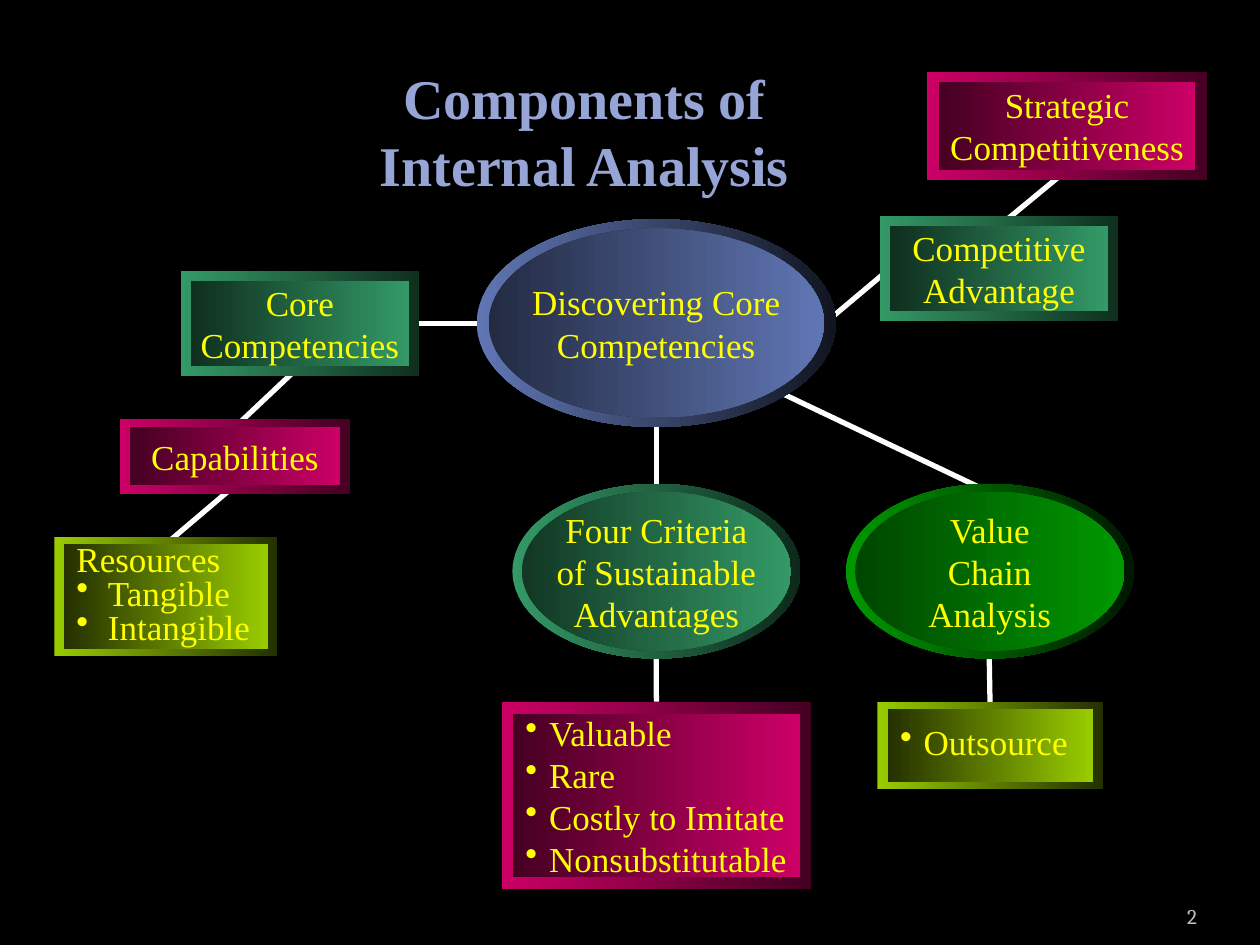
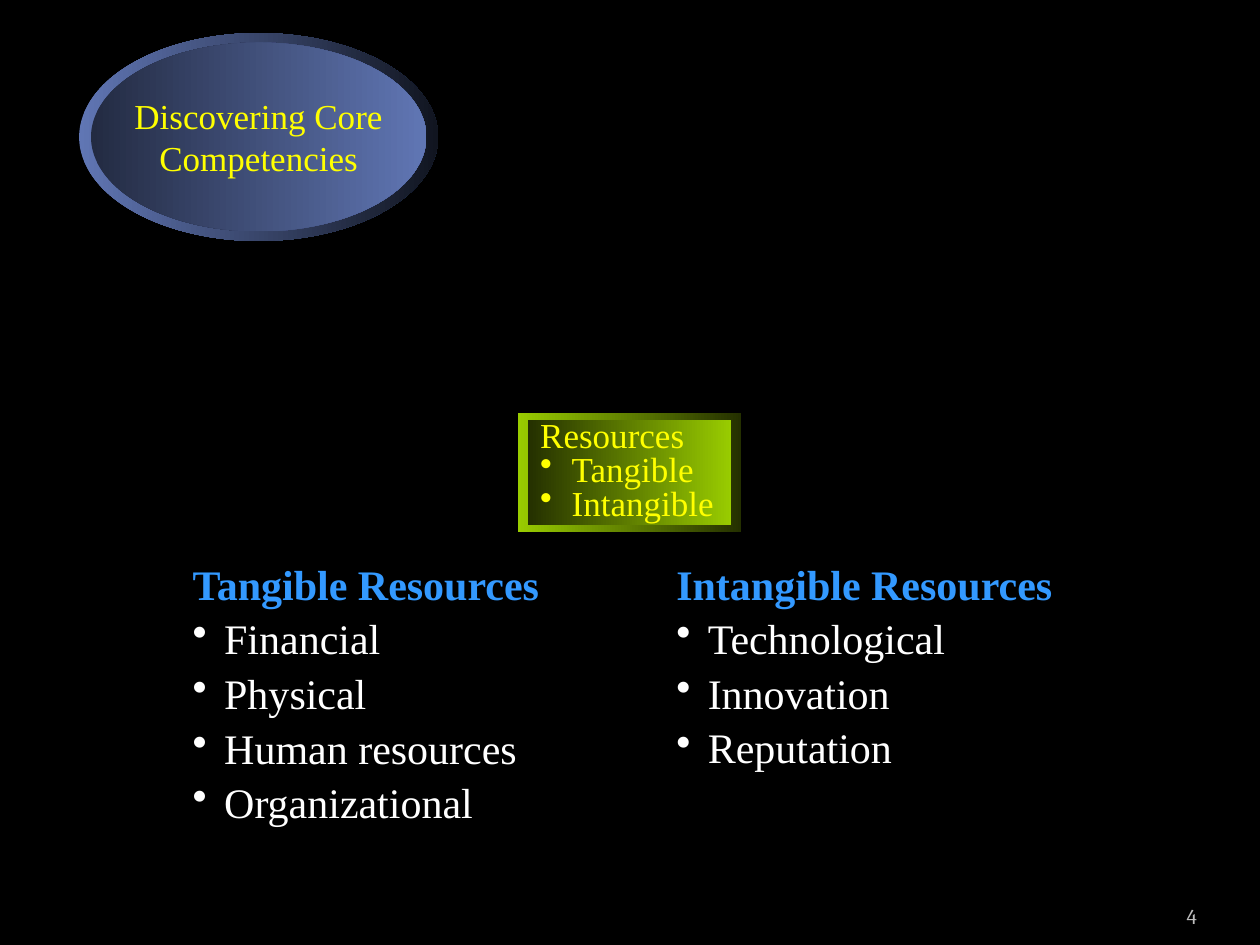
from dataclasses import dataclass

from lxml import etree
from pptx import Presentation
from pptx.dml.color import RGBColor
from pptx.enum.shapes import MSO_CONNECTOR, MSO_SHAPE
from pptx.enum.text import MSO_ANCHOR, PP_ALIGN
from pptx.oxml.ns import qn
from pptx.util import Pt

RECT, OVAL = MSO_SHAPE.RECTANGLE, MSO_SHAPE.OVAL
STRAIGHT = MSO_CONNECTOR.STRAIGHT
LEFT, CENTER, RIGHT = PP_ALIGN.LEFT, PP_ALIGN.CENTER, PP_ALIGN.RIGHT
TOP, MIDDLE, BOTTOM = MSO_ANCHOR.TOP, MSO_ANCHOR.MIDDLE, MSO_ANCHOR.BOTTOM
FRAME, FACE = 0, 1


@dataclass(frozen=True)
class Theme:
    font: str = "Times New Roman"
    number_font: str = "Cambria"
    back: str = "000000"
    title: str = "97A5D6"
    label: str = "FFFF00"
    heading: str = "3399FF"
    body: str = "FFFFFF"
    number: str = "BDBDBD"
    line: str = "FFFFFF"
    title_size: int = 32
    body_size: int = 24
    label_size: int = 20
    number_size: int = 12
    blue: tuple = ("6076B4", 0.18, 0.37)
    lime: tuple = ("99CC00", 0.24, 0.24)
    pink: tuple = ("CC0066", 0.34, 0.34)
    green: tuple = ("339966", 0.31, 0.31)
    teal: tuple = ("339966", 0.27, 0.36)
    leaf: tuple = ("009900", 0.16, 0.46)


T = Theme()


def write(sp, lines, size=T.label_size, color=T.label, font=T.font, bold=False,
          align=LEFT, anchor=MIDDLE, wrap=False, spacing=None, before=None,
          indent=0, bullets_from=None, heading=None):
    tf = sp.text_frame
    tf.word_wrap = wrap
    tf.vertical_anchor = anchor
    for i, line in enumerate(lines):
        p = tf.paragraphs[0] if i == 0 else tf.add_paragraph()
        p.text = line
        p.alignment = align
        p.line_spacing = spacing
        if before:
            p.space_before = Pt(before)
        is_heading = bool(heading) and i == 0
        for r in p.runs:
            r.font.name = font
            r.font.size = Pt(size)
            r.font.bold = bold or is_heading
            r.font.color.rgb = RGBColor.from_string(heading if is_heading else color)
        if indent:
            pPr = p._p.get_or_add_pPr()
            pPr.set("marL", str(Pt(indent)))
            pPr.set("indent", str(-Pt(indent)))
            if bullets_from is not None and i >= bullets_from:
                etree.SubElement(pPr, qn("a:buChar"), char="•")


def add_panel(s, kind, box, inset, palette, lines, **fmt):
    x, y, w, h = box
    dx, dy = inset
    color, frame_shade, face_shade = palette
    grp = s.shapes.add_group_shape()
    layers = [
        ((x, y, w, h), frame_shade, 1),
        ((x + dx, y + dy, w - 2 * dx, h - 2 * dy), face_shade, 0),
    ]
    parts = []
    for rect, shade, dark_stop in layers:
        sp = grp.shapes.add_shape(kind, *map(Pt, rect))
        sp.shadow.inherit = False
        sp.line.fill.background()
        sp.fill.gradient()
        sp.fill.gradient_angle = 0
        for stop in sp.fill.gradient_stops:
            stop.color.rgb = RGBColor.from_string(color)
        dark = list(sp._element.spPr.iter(qn("a:srgbClr")))[dark_stop]
        etree.SubElement(dark, qn("a:gamma"))
        etree.SubElement(dark, qn("a:shade"), val=str(round(shade * 100000)))
        etree.SubElement(dark, qn("a:invGamma"))
        parts.append(sp)
    write(parts[FACE], lines, **fmt)
    return parts


prs = Presentation()
prs.slide_width, prs.slide_height = Pt(720), Pt(540)
slides = []
for number, discovering_at, resources_at in [
    ("2", (272.4, 125.2), (31, 306.8)),
    ("4", (45.2, 18.9), (296, 236)),
]:
    s = prs.slides.add_slide(prs.slide_layouts[6])
    s.background.fill.solid()
    s.background.fill.fore_color.rgb = RGBColor.from_string(T.back)
    sp = s.shapes.add_textbox(Pt(624), Pt(505.5), Pt(60), Pt(28.8))
    sp.text_frame.margin_left = sp.text_frame.margin_right = 0
    write(sp, [number], size=T.number_size, color=T.number, font=T.number_font,
          align=RIGHT, anchor=BOTTOM, wrap=True)
    add_panel(s, OVAL, (*discovering_at, 205.2, 118.8), (6.8, 5.4), T.blue,
              ["Discovering Core", "Competencies"], align=CENTER)
    resources = add_panel(s, RECT, (*resources_at, 127.6, 68), (5.6, 4.1), T.lime,
                          ["Resources", "Tangible", "Intangible"],
                          spacing=0.8, indent=18, bullets_from=1)
    slides.append((s, resources))

s, resources = slides[0]
sp = s.shapes.add_textbox(Pt(28), Pt(28), Pt(612), Pt(93.6))
write(sp, ["Components of\vInternal Analysis"], size=T.title_size, color=T.title,
      bold=True, align=CENTER, wrap=True)

panels = {"resources": resources}
centered = dict(align=CENTER)
bulleted = dict(indent=13.5, bullets_from=0)
for name, kind, box, inset, palette, lines, fmt in [
    ("capabilities", RECT, (68.5, 239.3, 131.5, 42.9), (5.7, 4.8), T.pink,
     ["Capabilities"], centered),
    ("core", RECT, (103.3, 154.8, 136.2, 60.2), (5.8, 5.9), T.green,
     ["Core", "Competencies"], centered),
    ("competitive", RECT, (502.8, 123.3, 136.2, 60.2), (5.8, 5.9), T.green,
     ["Competitive", "Advantage"], centered),
    ("strategic", RECT, (529.8, 41, 160, 61.9), (6.7, 5.8), T.pink,
     ["Strategic", "Competitiveness"], centered),
    ("four criteria", OVAL, (292.8, 276.5, 164.6, 99.8), (5.4, 4.4), T.teal,
     ["Four Criteria", "of Sustainable", "Advantages"], centered),
    ("criteria list", RECT, (286.8, 401, 176.6, 107.1), (6.4, 7), T.pink,
     ["Valuable", "Rare", "Costly to Imitate", "Nonsubstitutable"], bulleted),
    ("value chain", OVAL, (483.3, 276.5, 164.6, 99.8), (5.4, 4.4), T.leaf,
     ["Value", "Chain", "Analysis"], centered),
    ("outsource", RECT, (501.3, 401, 129, 49.8), (5.9, 4.2), T.lime,
     ["Outsource"], dict(spacing=0.8, **bulleted)),
]:
    panels[name] = add_panel(s, kind, box, inset, palette, lines, **fmt)

for start, end in [
    ((375, 239), (375, 281)),
    ((443, 223), (565, 281)),
    ((565.2, 371.5), ("outsource", FACE, 0)),
    ((375, 371.5), ("criteria list", FRAME, 0)),
    ((471, 185), ("competitive", FACE, 1)),
    (("competitive", FACE, 0), ("strategic", FACE, 2)),
    (("resources", FACE, 0), ("capabilities", FACE, 2)),
    (("capabilities", FACE, 0), ("core", FACE, 2)),
    (("core", FACE, 3), (272.4, 184.9)),
]:
    begin_at = start if len(start) == 2 else (0, 0)
    end_at = end if len(end) == 2 else (0, 0)
    cxn = s.shapes.add_connector(STRAIGHT, *map(Pt, begin_at + end_at))
    for target, connect in [(start, cxn.begin_connect), (end, cxn.end_connect)]:
        if len(target) == 3:
            name, part, site = target
            connect(panels[name][part], site)
    cxn.line.color.rgb = RGBColor.from_string(T.line)
    cxn.line.width = Pt(3)
    etree.SubElement(cxn._element.spPr, qn("a:effectLst"))
    s.shapes._spTree.insert(2, cxn._element)

s, resources = slides[1]
for x, w, h, lines in [
    (103, 242, 157, ["Tangible Resources", "Financial", "Physical",
                     "Human resources", "Organizational"]),
    (379.4, 263.5, 126.7, ["Intangible Resources", "Technological",
                           "Innovation", "Reputation"]),
]:
    sp = s.shapes.add_textbox(Pt(x), Pt(315.4), Pt(w), Pt(h))
    write(sp, lines, size=T.body_size, color=T.body, heading=T.heading, anchor=TOP,
          wrap=True, before=2.4, indent=18, bullets_from=1)

prs.save("out.pptx")
